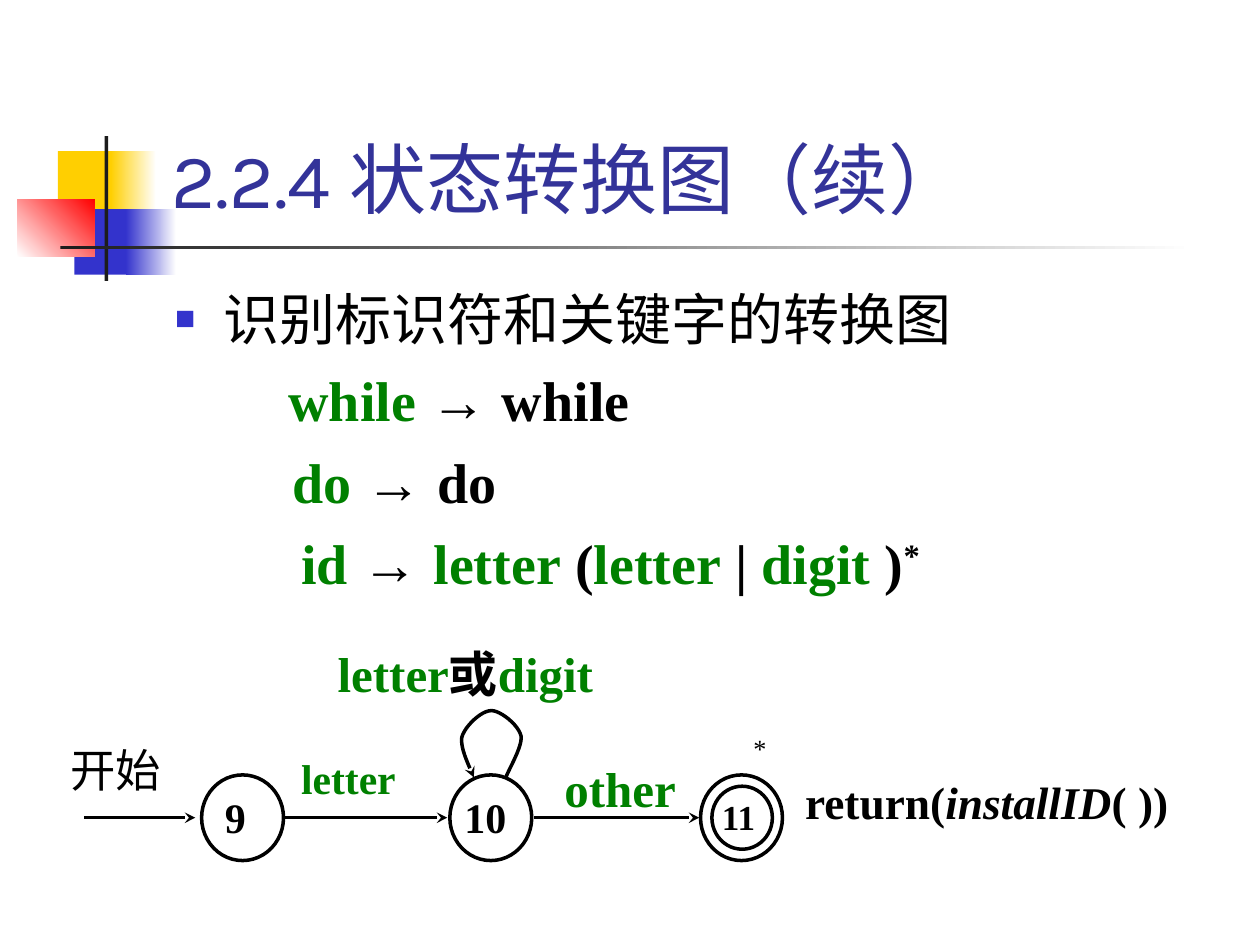
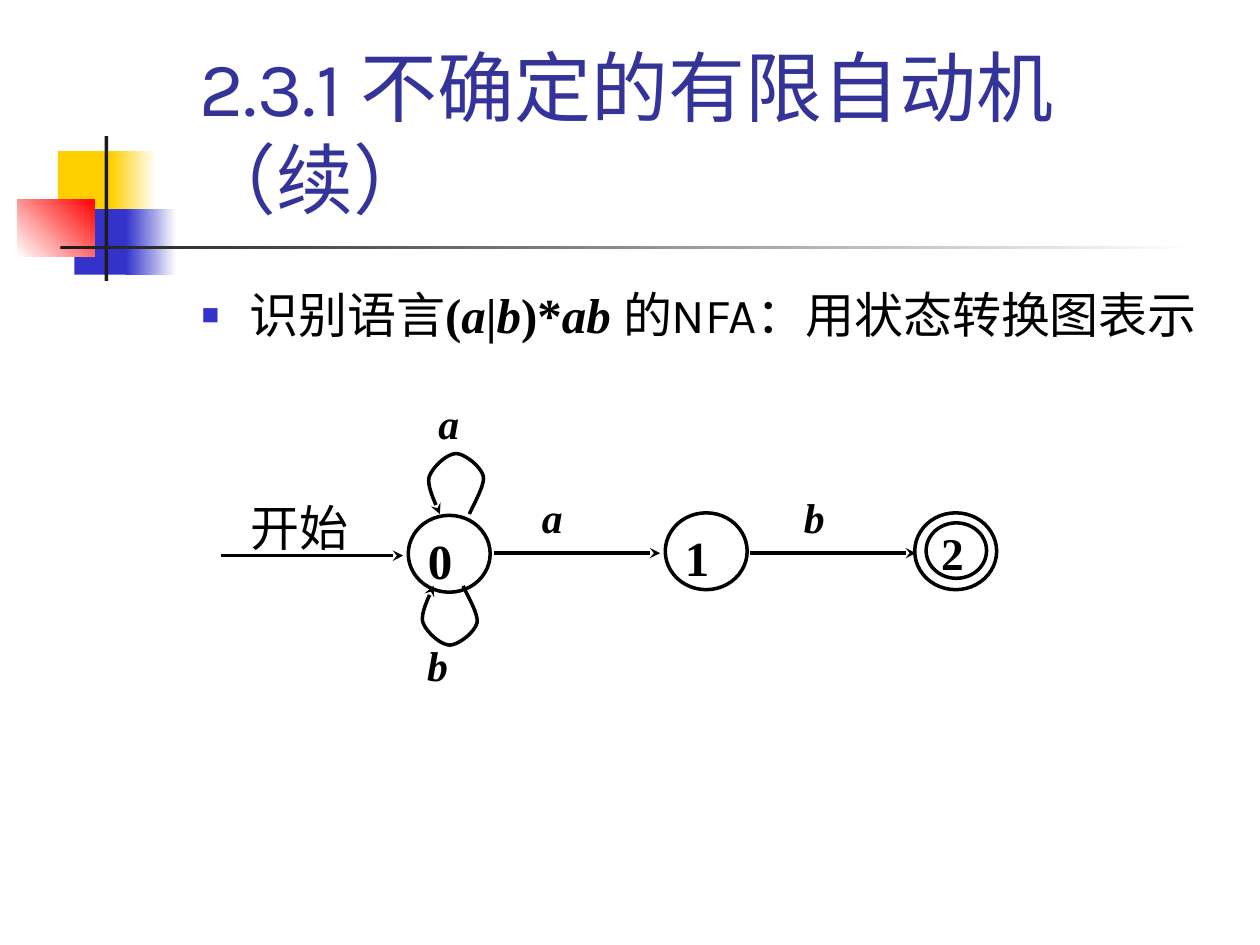
import pptx
import pptx.dml.color
import pptx.enum.shapes
import pptx.enum.text
import pptx.oxml
import pptx.util
from lxml import etree
from pptx.util import Inches

DRAWING_NS = "http://schemas.openxmlformats.org/drawingml/2006/main"
BLACK, GREEN, BLUE, NAVY = "000000", "008000", "3333CC", "333399"
YELLOW, RED, WHITE, CHARCOAL = "FFCF01", "FF0000", "FFFFFF", "1C1C1C"
SERIF, SANS, ARROW_FONT = "Times New Roman", "Karla", "Arial"
LINE_WIDTH = 2

MATH = {"name": SERIF, "bold": True, "color": BLACK}
TERM = {**MATH, "color": GREEN}
SYMBOL = {**MATH, "italic": True}
DERIVES = ("→ ", {**MATH, "name": ARROW_FONT})
PLAIN = {"name": SANS, "color": BLACK}
START = {"name": SERIF, "color": BLACK}

# left, top, width, height, colours (two make a gradient), angle
DECORATION = [
    (0.46, 1.2, 0.48, 0.52, [YELLOW], 0),
    (0.88, 1.2, 0.36, 0.52, [YELLOW, WHITE], 0),
    (0.59, 1.66, 0.46, 0.52, [BLUE], 0),
    (1, 1.66, 0.4, 0.52, [BLUE, WHITE], 0),
    (0.14, 1.58, 0.61, 0.46, [WHITE, RED], 45),
    (0.83, 1.08, 0.03, 1.15, [CHARCOAL], 0),
    (0.48, 1.95, 9, 0.03, [CHARCOAL, WHITE], 0),
]

# Self-loop as fractions of its box: a start, then cubic Bézier triples
LOOP_START = (0.73, 1)
LOOP_CURVES = [
    [(0.77, 0.89), (1, 0.53), (0.97, 0.38)],
    [(0.93, 0.21), (0.64, 0), (0.5, 0)],
    [(0.34, 0), (0.08, 0.23), (0.03, 0.4)],
    [(0, 0.58), (0.18, 0.89), (0.22, 1)],
]
CURVE_STEPS = 12

SLIDES = [
    {
        "title": "2.2.4 状态转换图（续）",
        "title_box": (1.26, 0.23, 8.52, 1.6),
        "body_box": (1.29, 2.21, 8.5, 4.5),
        "body_size": 32,
        "space_before": 8,
        # text indent (None for a bullet), runs
        "body": [
            (None, [("识别标识符和关键字的转换图", PLAIN)]),
            (0.9, [("while ", TERM), DERIVES, ("while", MATH)]),
            (0.93, [("do ", TERM), DERIVES, ("do", MATH)]),
            (1, [("id ", TERM), DERIVES, ("letter", TERM), (" (", MATH),
                 ("letter", TERM), (" | ", MATH), ("digit", TERM),
                 (" )", MATH), ("*", {**MATH, "baseline": 30000})]),
        ],
        # box, number, size, insets, line spacing
        "states": [
            ((1.6, 6.15, 0.65, 0.68), "9", 24, (0.09, 0.03, 0.1, 0.05), 1),
            ((3.57, 6.15, 0.65, 0.68), "10", 24, (0.02, 0.03, 0.02, 0.05), 1),
            ((5.56, 6.15, 0.65, 0.68), "", 20, (0, 0, 0, 0), 1),
            ((5.65, 6.24, 0.48, 0.5), "11", 20, (0.01, 0, 0.01, 0), 1),
        ],
        # from x, to x, y
        "transitions": [(0.67, 1.55, 6.49), (2.25, 3.55, 6.49), (4.24, 5.55, 6.49)],
        "self_loops": [(3.65, 5.64, 0.5, 0.53)],
        # box, size, line spacing, runs
        "labels": [
            ((0.5, 5.91, 1.05, 0.52), 25.9, 0.9, [("开始", START)]),
            ((2.33, 5.99, 1.08, 0.49), 23.8, 0.9, [("letter", TERM)]),
            ((4.42, 5.99, 1.08, 0.58), 28, 1, [("other", TERM)]),
            ((5.92, 5.83, 0.33, 0.34), 15, 0.8, [("*", START)]),
            ((2.62, 5.08, 2.65, 0.64), 28, 1,
             [("letter", TERM), ("或", MATH), ("digit", TERM)]),
            ((6.33, 6.16, 3.33, 0.5), 25.9, 0.9,
             [("return(", MATH), ("installID", SYMBOL), ("( ))", MATH)]),
        ],
    },
    {
        "title": "2.3.1 不确定的有限自动机（续）",
        "title_box": (1.48, 0.23, 8.19, 1.6),
        "body_box": (1.5, 2.21, 8.5, 4.5),
        "body_size": 28,
        "space_before": 7,
        "body": [
            (None, [("识别语言", PLAIN), ("(", MATH), ("a", SYMBOL), ("|", MATH),
                    ("b", SYMBOL), (")*", MATH), ("ab ", SYMBOL),
                    ("的NFA：用状态转换图表示", PLAIN)]),
        ],
        "states": [
            ((3.24, 4.09, 0.65, 0.61), "0", 28, (0.06, 0.03, 0.02, 0.05), 1),
            ((5.28, 4.07, 0.65, 0.61), "1", 28, (0.06, 0.03, 0.02, 0.05), 1),
            ((7.26, 4.07, 0.65, 0.61), "", 28, (0, 0, 0, 0), 1),
            ((7.35, 4.15, 0.48, 0.44), "2", 25.9, (0.05, 0, 0.01, 0), 0.9),
        ],
        "transitions": [(1.75, 3.2, 4.41), (3.92, 5.24, 4.39), (5.95, 7.27, 4.39)],
        # a negative height turns the loop upside down
        "self_loops": [(3.39, 3.6, 0.46, 0.48), (3.34, 5.12, 0.46, -0.47)],
        "labels": [((1.93, 3.92, 1.06, 0.57), 28, 1, [("开始", START)])] + [
            ((left, top, 0.53, 0.49), 23.8, 0.9, [(symbol, SYMBOL)])
            for left, top, symbol in [(4.24, 3.92, "a"), (3.42, 3.17, "a"),
                                      (3.33, 5.09, "b"), (6.32, 3.92, "b")]
        ],
    },
]


def rgb(hex_string):
    return pptx.dml.color.RGBColor.from_string(hex_string)


def write(paragraph, runs, size, line_spacing=1, space_before=0):
    """Fill a left-aligned paragraph with (text, format values) runs."""
    paragraph.alignment = pptx.enum.text.PP_ALIGN.LEFT
    paragraph.line_spacing = line_spacing
    paragraph.space_before = pptx.util.Pt(space_before)
    for text, values in runs:
        run = paragraph.add_run()
        run.text = text
        run.font.size = pptx.util.Pt(size)
        for attribute, value in values.items():
            if attribute == "color":
                run.font.color.rgb = rgb(value)
            elif attribute == "baseline":
                run.font._element.set("baseline", str(value))
            else:
                setattr(run.font, attribute, value)


prs = pptx.Presentation()
prs.slide_width, prs.slide_height = Inches(10), Inches(7.5)
layout = prs.slide_layouts[1]
slides = [prs.slides.add_slide(layout) for _ in SLIDES]

# Decoration is drawn on a slide, then moved behind the layout's placeholders
for position, (*box, colours, angle) in enumerate(DECORATION):
    block = slides[0].shapes.add_shape(
        pptx.enum.shapes.MSO_SHAPE.RECTANGLE, *map(Inches, box))
    block.shadow.inherit = False
    block.line.fill.background()
    if len(colours) == 1:
        block.fill.solid()
        block.fill.fore_color.rgb = rgb(colours[0])
    else:
        block.fill.gradient()
        block.fill.gradient_angle = angle
        for stop, colour in zip(block.fill.gradient_stops, colours):
            stop.color.rgb = rgb(colour)
    layout.shapes.element.insert(2 + position, block.element)

for slide, content in zip(slides, SLIDES):
    title, body = slide.shapes.title, slide.placeholders[1]
    for holder, box, anchor in [
        (title, content["title_box"], pptx.enum.text.MSO_ANCHOR.BOTTOM),
        (body, content["body_box"], pptx.enum.text.MSO_ANCHOR.TOP),
    ]:
        holder.left, holder.top, holder.width, holder.height = map(Inches, box)
        holder.text_frame.auto_size = pptx.enum.text.MSO_AUTO_SIZE.NONE
        holder.text_frame.vertical_anchor = anchor
    write(title.text_frame.paragraphs[0],
          [(content["title"], {"name": SANS, "color": NAVY})], 44)

    for number, (indent, runs) in enumerate(content["body"]):
        frame = body.text_frame
        paragraph = frame.add_paragraph() if number else frame.paragraphs[0]
        properties = paragraph._p.get_or_add_pPr()
        if indent is None:
            properties.set("marL", str(Inches(0.38)))
            properties.set("indent", str(-Inches(0.38)))
            bullet = (f'<a:buClr><a:srgbClr val="{BLUE}"/></a:buClr>'
                      '<a:buSzPct val="60000"/><a:buChar char="■"/>')
        else:
            properties.set("marL", str(Inches(indent)))
            properties.set("indent", "0")
            bullet = "<a:buNone/>"
        properties.extend(list(pptx.oxml.parse_xml(
            f'<a:pPr xmlns:a="{DRAWING_NS}">{bullet}</a:pPr>')))
        write(paragraph, runs, content["body_size"],
              space_before=content["space_before"] if number else 0)

    for box, number, size, insets, spacing in content["states"]:
        state = slide.shapes.add_shape(
            pptx.enum.shapes.MSO_SHAPE.OVAL, *map(Inches, box))
        state.shadow.inherit = False
        state.fill.background()
        state.line.color.rgb = rgb(BLACK)
        state.line.width = pptx.util.Pt(LINE_WIDTH)
        if number:
            frame = state.text_frame
            frame.vertical_anchor = pptx.enum.text.MSO_ANCHOR.TOP
            for side, inset in zip(("left", "top", "right", "bottom"), insets):
                setattr(frame, f"margin_{side}", Inches(inset))
            write(frame.paragraphs[0], [(number, MATH)], size, spacing)

    arrows = []
    for start, end, level in content["transitions"]:
        arrow = slide.shapes.add_connector(
            pptx.enum.shapes.MSO_CONNECTOR.STRAIGHT,
            *map(Inches, (start, level, end, level)))
        arrows.append(arrow)

    for left, top, width, height in content["self_loops"]:
        outline = [LOOP_START]
        for first, second, end in LOOP_CURVES:
            start = outline[-1]
            for step in range(1, CURVE_STEPS + 1):
                t = step / CURVE_STEPS
                outline.append(tuple(
                    (1 - t) ** 3 * a + 3 * (1 - t) ** 2 * t * b
                    + 3 * (1 - t) * t ** 2 * c + t ** 3 * d
                    for a, b, c, d in zip(start, first, second, end)))
        points = [(Inches(left + x * width), Inches(top + y * height))
                  for x, y in outline]
        builder = slide.shapes.build_freeform(*points[0])
        builder.add_line_segments(points[1:], close=False)
        self_loop = builder.convert_to_shape()
        self_loop.fill.background()
        arrows.append(self_loop)

    for arrow in arrows:
        arrow.line.color.rgb = rgb(BLACK)
        arrow.line.width = pptx.util.Pt(LINE_WIDTH)
        head = etree.SubElement(arrow.line._get_or_add_ln(), f"{{{DRAWING_NS}}}tailEnd")
        head.set("type", "stealth")
        etree.SubElement(arrow.element.spPr, f"{{{DRAWING_NS}}}effectLst")

    for box, size, spacing, runs in content["labels"]:
        frame = slide.shapes.add_textbox(*map(Inches, box)).text_frame
        frame.word_wrap = True
        frame.margin_left = frame.margin_right = Inches(0.06)
        frame.margin_top = frame.margin_bottom = Inches(0.03)
        write(frame.paragraphs[0], runs, size, spacing)

prs.save("out.pptx")
